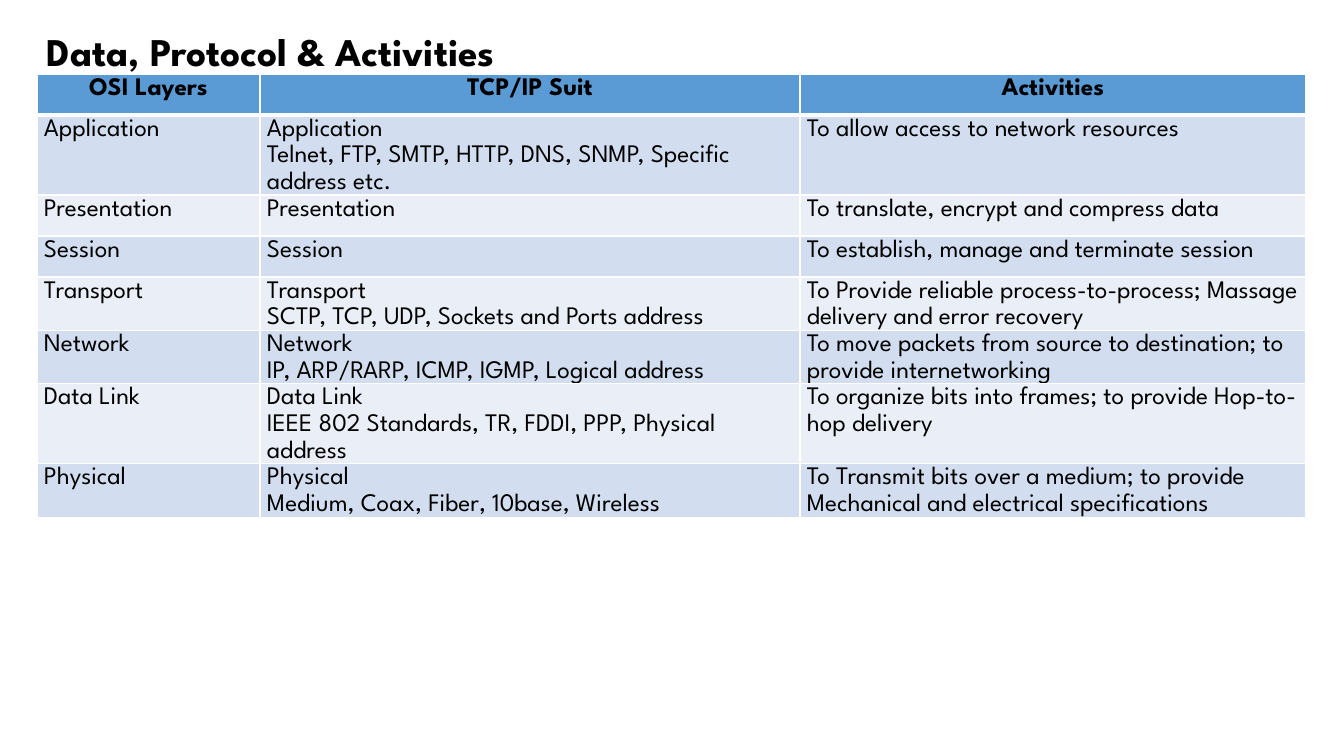
"""Build a slide with a table of OSI layers, TCP/IP protocols and activities."""
from lxml.etree import SubElement
from pptx import Presentation
from pptx.dml.color import RGBColor
from pptx.enum.text import MSO_AUTO_SIZE, PP_ALIGN
from pptx.oxml.ns import qn
from pptx.util import Emu, Pt

SCALE = 914400 / 100.8
FONT = "League Spartan"
COLORS = {
    "text": "000000",
    "border": "FFFFFF",
    "header": "5B9BD5",
    "odd": "D2DEEF",
    "even": "EAEFF7",
}


def px(length):
    return Emu(round(length * SCALE))


def write(text_frame, text, size=18, bold=False, align=PP_ALIGN.LEFT):
    for index, line in enumerate(text.split("\n")):
        paragraph = text_frame.paragraphs[0] if index == 0 else text_frame.add_paragraph()
        paragraph.alignment = align
        paragraph.line_spacing = 1.15
        run = paragraph.add_run()
        run.text = line
        run.font.name = FONT
        run.font.size = Pt(size)
        run.font.bold = bold
        run.font.color.rgb = RGBColor.from_string(COLORS["text"])


presentation = Presentation()
presentation.slide_width = px(1344)
presentation.slide_height = px(756)
slide = presentation.slides.add_slide(presentation.slide_layouts[6])

header = ("OSI Layers", "TCP/IP Suit", "Activities")
layers = [
    ("Application", "Telnet, FTP, SMTP, HTTP, DNS, SNMP, Specific address etc.",
     "To allow access to network resources"),
    ("Presentation", "", "To translate, encrypt and compress data"),
    ("Session", "", "To establish, manage and terminate session"),
    ("Transport", "SCTP, TCP, UDP, Sockets and Ports address",
     "To Provide reliable process-to-process; Massage delivery and error recovery"),
    ("Network", "IP, ARP/RARP, ICMP, IGMP, Logical address",
     "To move packets from source to destination; to provide internetworking"),
    ("Data Link", "IEEE 802 Standards, TR, FDDI, PPP, Physical address",
     "To organize bits into frames; to provide Hop-to-hop delivery"),
    ("Physical", "Medium, Coax, Fiber, 10base, Wireless",
     "To Transmit bits over a medium; to provide Mechanical and electrical specifications"),
]
rows = [header]
for layer, protocols, activity in layers:
    suite = f"{layer}\n{protocols}" if protocols else layer
    rows.append((layer, suite, activity))

column_widths = (223, 540, 506)
row_height = 41
table = slide.shapes.add_table(
    len(rows), len(header), px(37), px(74), px(sum(column_widths)), px(row_height * len(rows))
).table
for column, width in zip(table.columns, column_widths):
    column.width = px(width)

for row_index, texts in enumerate(rows):
    is_header = row_index == 0
    table.rows[row_index].height = px(row_height)
    fill_name = "header" if is_header else ("even", "odd")[row_index % 2]
    for column_index, text in enumerate(texts):
        cell = table.cell(row_index, column_index)
        cell.margin_left = cell.margin_right = px(7)
        cell.margin_top = cell.margin_bottom = 0
        properties = cell._tc.get_or_add_tcPr()
        for side in ("L", "R", "T", "B"):
            thick = (side == "B" and is_header) or (side == "T" and row_index == 1)
            border = SubElement(properties, qn(f"a:ln{side}"), w=str(Pt(3 if thick else 1)))
            border_fill = SubElement(border, qn("a:solidFill"))
            SubElement(border_fill, qn("a:srgbClr"), val=COLORS["border"])
        cell.fill.solid()
        cell.fill.fore_color.rgb = RGBColor.from_string(COLORS[fill_name])
        align = PP_ALIGN.CENTER if is_header else PP_ALIGN.LEFT
        write(cell.text_frame, text, bold=is_header, align=align)

title = slide.shapes.add_textbox(px(37), px(15), px(520), px(59))
title.text_frame.word_wrap = False
title.text_frame.auto_size = MSO_AUTO_SIZE.SHAPE_TO_FIT_TEXT
write(title.text_frame, "Data, Protocol & Activities", size=28, bold=True)

presentation.save("out.pptx")
